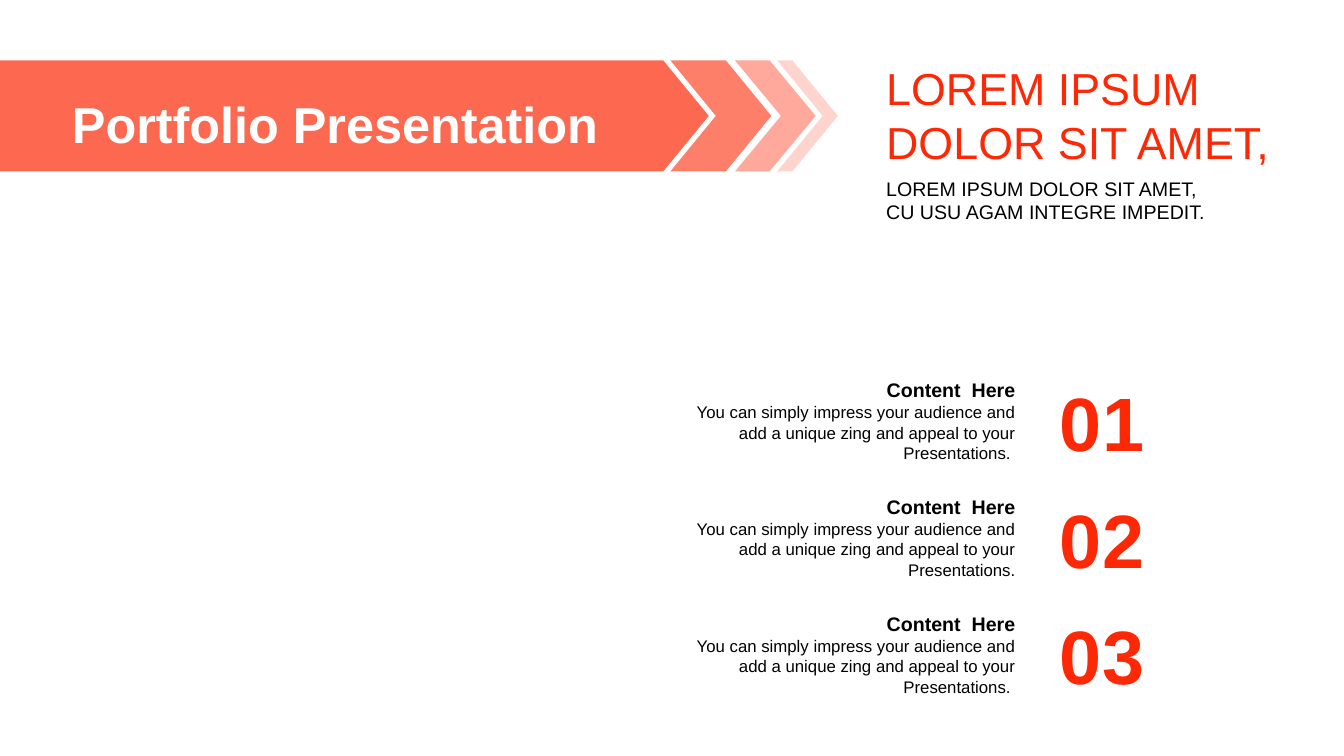
from dataclasses import dataclass

from lxml.etree import SubElement
from pptx import Presentation
from pptx.dml.color import RGBColor
from pptx.enum.shapes import MSO_SHAPE as Preset
from pptx.enum.text import MSO_ANCHOR as Anchor, MSO_AUTO_SIZE as AutoSize, PP_ALIGN as Align
from pptx.oxml.ns import qn
from pptx.slide import Slide
from pptx.util import Emu, Pt

EMU_PER_PX = 9144


@dataclass(frozen=True)
class Theme:
    font: str = "Arial"
    accent: str = "FD2906"
    ink: str = "000000"
    white: str = "FFFFFF"
    number: int = 54
    title: int = 36
    headline: int = 32
    label: int = 14
    body: int = 12


@dataclass(frozen=True)
class Area:
    left: int
    top: int
    width: int
    height: int


@dataclass(frozen=True)
class Arrow:
    preset: Preset
    left: int
    width: int
    point: float
    opacity: int


@dataclass(frozen=True)
class Item:
    number: str
    heading: str
    body: str


THEME = Theme()
BANNER_TOP, BANNER_HEIGHT = 60, 110
ITEM_TOP, ITEM_PITCH = 367, 116

ARROWS = [
    Arrow(Preset.PENTAGON, 0, 703, 0.41, 70),
    Arrow(Preset.CHEVRON, 665, 100, 0.45, 60),
    Arrow(Preset.CHEVRON, 729, 80, 0.57, 40),
    Arrow(Preset.CHEVRON, 771, 60, 0.75, 20),
]

PITCH_TEXT = "You can simply impress your audience and add a unique zing and appeal to your Presentations."
ITEMS = [
    Item("01", "Content  Here", PITCH_TEXT + " "),
    Item("02", "Content  Here", PITCH_TEXT),
    Item("03", "Content  Here", PITCH_TEXT + " "),
]


def px(length: int) -> Emu:
    return Emu(length * EMU_PER_PX)


def add_text(page: Slide, area: Area, text: str, *, size: int, color: str = THEME.ink,
             bold: bool = False, align: Align = Align.LEFT, anchor: Anchor = Anchor.MIDDLE,
             side_inset: int = 10, line_spacing: float = 1.0, grow: bool = True) -> None:
    box = page.shapes.add_textbox(px(area.left), px(area.top), px(area.width), px(area.height))
    frame = box.text_frame
    frame.word_wrap = True
    frame.auto_size = AutoSize.SHAPE_TO_FIT_TEXT if grow else AutoSize.NONE
    frame.vertical_anchor = anchor
    frame.margin_left = frame.margin_right = px(side_inset)
    frame.margin_top = frame.margin_bottom = px(5)
    frame.text = text
    for para in frame.paragraphs:
        para.alignment = align
        para.line_spacing = line_spacing
        for span in para.runs:
            span.font.name = THEME.font
            span.font.size = Pt(size)
            span.font.bold = bold
            span.font.color.rgb = RGBColor.from_string(color)


def add_arrow(page: Slide, arrow: Arrow) -> None:
    shape = page.shapes.add_shape(arrow.preset, px(arrow.left), px(BANNER_TOP),
                                  px(arrow.width), px(BANNER_HEIGHT))
    shape.adjustments[0] = arrow.point
    shape.shadow.inherit = False
    shape.line.fill.background()
    shape.fill.solid()
    shape.fill.fore_color.rgb = RGBColor.from_string(THEME.accent)
    color = shape.fill._xPr.find(qn("a:solidFill")).find(qn("a:srgbClr"))
    SubElement(color, qn("a:alpha"), val=str(arrow.opacity * 1000))


def add_item(page: Slide, item: Item, top: int) -> None:
    add_text(page, Area(1034, top, 118, 101), item.number, size=THEME.number,
             color=THEME.accent, bold=True, align=Align.CENTER, side_inset=12)
    add_text(page, Area(668, top + 3, 349, 34), item.heading, size=THEME.label,
             bold=True, align=Align.RIGHT)
    add_text(page, Area(669, top + 27, 348, 71), item.body, size=THEME.body,
             align=Align.RIGHT, anchor=Anchor.TOP)


def main() -> None:
    deck = Presentation()
    deck.slide_width, deck.slide_height = px(1333), px(750)
    page = deck.slides.add_slide(deck.slide_layouts[6])

    for arrow in ARROWS:
        add_arrow(page, arrow)
    add_text(page, Area(52, 47, 561, 145), "Portfolio Presentation", size=THEME.title,
             color=THEME.white, bold=True, align=Align.CENTER, line_spacing=1.1, grow=False)

    add_text(page, Area(869, 55, 405, 118), "LOREM IPSUM\nDOLOR SIT AMET,",
             size=THEME.headline, color=THEME.accent)
    add_text(page, Area(869, 170, 405, 57),
             "LOREM IPSUM DOLOR SIT AMET,\nCU USU AGAM INTEGRE IMPEDIT.", size=THEME.label)

    for index, item in enumerate(ITEMS):
        add_item(page, item, ITEM_TOP + index * ITEM_PITCH)

    deck.save("out.pptx")


if __name__ == "__main__":
    main()
